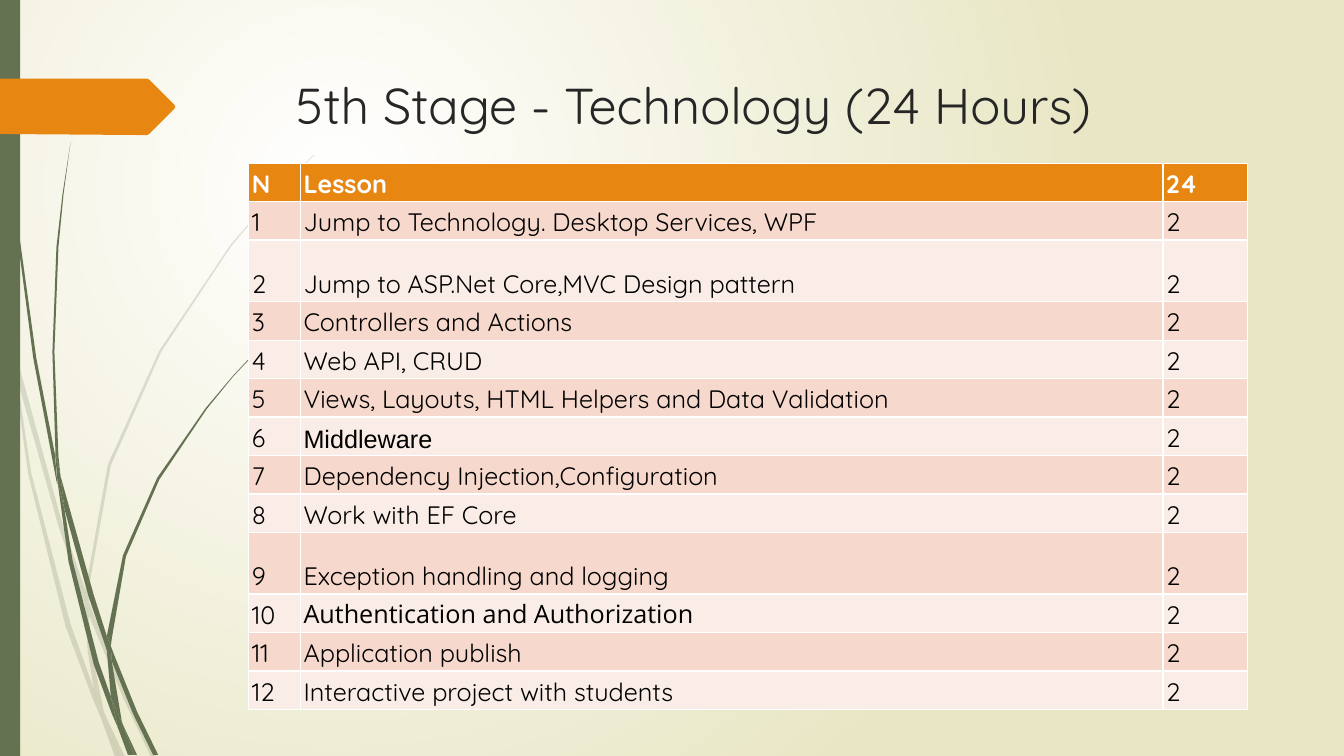
"""Build the slide that lists the lessons of the fifth course stage."""
from typing import NamedTuple

from lxml import etree
from pptx import Presentation
from pptx.dml.color import RGBColor
from pptx.enum.shapes import MSO_SHAPE
from pptx.enum.text import MSO_ANCHOR
from pptx.oxml import parse_xml
from pptx.oxml.ns import nsdecls, qn
from pptx.util import Cm, Pt

RECTANGLE = MSO_SHAPE.RECTANGLE
TOP = MSO_ANCHOR.TOP
BOTTOM = MSO_ANCHOR.BOTTOM

WHITE = RGBColor(0xFF, 0xFF, 0xFF)
BLACK = RGBColor(0x00, 0x00, 0x00)
CHARCOAL = RGBColor(0x26, 0x26, 0x26)
CREAM = RGBColor(0xE8, 0xE6, 0xC4)
GREEN = RGBColor(0x64, 0x72, 0x52)
ORANGE = RGBColor(0xE7, 0x87, 0x12)
ROSE = RGBColor(0xF6, 0xD9, 0xCC)
PALE_ROSE = RGBColor(0xFA, 0xED, 0xE7)

FONT = "Quicksand"
CM_PER_INCH = 2.54
ROW_HEIGHT = 0.97
TALL_ROW_HEIGHT = 1.55
COLUMN_WIDTHS = (1.3, 21.74, 2.13)

Outline = list[tuple[float, float]]


class Grass(NamedTuple):
    opacity: int
    blades: list[Outline]


class Lesson(NamedTuple):
    title: str
    font: str = FONT
    height: float = ROW_HEIGHT


PALE_GRASS = Grass(20, [
    [(0.11, 3.5), (0.09, 3.22), (0, 2.82), (0, 2.99), (0.1, 3.44)],
    [(0.58, 5.22), (0.84, 5.99), (0.85, 5.86), (0.62, 5.2), (0.14, 3.45),
     (0.17, 3.76)],
    [(0.92, 6.07), (0.88, 5.96), (0.88, 6.1), (1.23, 6.94), (1.5, 7.51),
     (1.55, 7.51), (1.27, 6.92)],
    [(1.19, 7.51), (1.24, 7.51), (1.05, 7.11)],
    [(0.93, 6.83), (0.7, 6.19), (0.31, 4.69), (0.17, 3.76), (0.11, 3.5),
     (0.28, 4.7), (0.65, 6.21), (0.92, 6.93), (1.01, 7.14), (0.99, 7.07)],
    [(0.84, 5.99), (0.87, 6.46), (0.93, 6.83), (0.96, 6.92), (1.05, 7.11),
     (1.03, 7.06), (0.91, 6.46), (0.88, 6.1), (0.88, 6.08)],
    [(0.88, 5.84), (1.1, 4.62), (1.6, 3.49), (2.29, 2.45), (2.68, 1.98),
     (2.9, 1.75), (3.12, 1.54), (3.12, 1.53), (2.89, 1.75), (2.68, 1.97),
     (2.28, 2.44), (1.58, 3.48), (1.07, 4.61), (0.85, 5.84), (0.85, 5.86),
     (0.88, 5.96)],
    [(1.01, 7.14), (1.14, 7.51), (1.19, 7.51)],
    [(0.88, 6.08), (0.88, 6.1), (0.88, 5.96), (0.85, 5.86), (0.84, 5.99)],
    [(0.96, 6.92), (0.93, 6.83), (0.99, 7.07), (1.01, 7.14), (1.19, 7.51),
     (1.05, 7.11)],
])
DARK_GRASS = Grass(100, [
    [(0.07, 1.1), (0.17, 2.33), (0.33, 3.55), (0.56, 4.77), (0.57, 4.81),
     (0.55, 4.57), (0.55, 4.53), (0.36, 3.55), (0.19, 2.32), (0.08, 1.09),
     (0.05, 0.48), (0.04, 0), (0.03, 0), (0.04, 0.48)],
    [(0.88, 5.92), (1.06, 6.45), (1.06, 6.33), (1.06, 6.31), (0.93, 5.9),
     (0.6, 4.72), (0.64, 5.05)],
    [(1.13, 6.49), (1.1, 6.41), (1.11, 6.56), (1.32, 7.08), (1.52, 7.49),
     (1.57, 7.49), (1.36, 7.06)],
    [(1.1, 6.91), (0.98, 6.57), (0.72, 5.56), (0.64, 5.05), (0.57, 4.77),
     (0.68, 5.57), (0.93, 6.59), (1.11, 7.08), (1.17, 7.22), (1.16, 7.17)],
    [(0.6, 4.72), (0.58, 4.53), (0.54, 3.49), (0.58, 2.45), (0.63, 1.93),
     (0.7, 1.41), (0.62, 1.93), (0.56, 2.45), (0.52, 3.49), (0.55, 4.49)],
    [(1.33, 7.49), (1.36, 7.49), (1.22, 7.19)],
    [(0.57, 4.77), (0.64, 5.05), (0.6, 4.72), (0.55, 4.49), (0.55, 4.53)],
    [(1.11, 6.33), (1.25, 5.52), (1.58, 4.76), (2.05, 4.06), (2.31, 3.74),
     (2.45, 3.59), (2.61, 3.44), (2.6, 3.44), (2.45, 3.58), (2.31, 3.73),
     (2.04, 4.05), (1.56, 4.74), (1.22, 5.51), (1.06, 6.31), (1.1, 6.41)],
    [(1.17, 7.22), (1.27, 7.49), (1.31, 7.49)],
    [(1.06, 6.45), (1.1, 6.91), (1.16, 7.06), (1.22, 7.19), (1.21, 7.16),
     (1.11, 6.56), (1.09, 6.51)],
    [(1.06, 6.45), (1.09, 6.51), (1.11, 6.56), (1.1, 6.41), (1.06, 6.31),
     (1.06, 6.33)],
    [(1.16, 7.06), (1.1, 6.91), (1.16, 7.17), (1.17, 7.22), (1.3, 7.49),
     (1.33, 7.49), (1.22, 7.19)],
])
TAG = [(0, 0.78), (1.46, 0.78), (1.48, 0.79), (1.73, 1.04), (1.74, 1.06),
       (1.73, 1.08), (1.48, 1.33), (1.46, 1.34), (1.36, 1.34), (0, 1.33)]
LESSONS = [
    Lesson("Jump to Technology. Desktop Services, WPF"),
    Lesson("Jump to ASP.Net Core,MVC Design pattern", height=TALL_ROW_HEIGHT),
    Lesson("Controllers and Actions"),
    Lesson("Web API, CRUD"),
    Lesson("Views, Layouts, HTML Helpers and Data Validation"),
    Lesson("Middleware", "Arial"),
    Lesson("Dependency Injection,Configuration"),
    Lesson("Work with EF Core"),
    Lesson("Exception handling and logging", height=TALL_ROW_HEIGHT),
    Lesson("Authentication and Authorization", "Open Sans"),
    Lesson("Application publish"),
    Lesson("Interactive project with students"),
]


def paint_background(s) -> None:
    fill = s.background.fill
    fill.gradient()
    for stop, color, position in zip(fill.gradient_stops, (WHITE, CREAM), (0, 1)):
        stop.color.rgb = color
        stop.position = position
    grad = s._element.find(".//" + qn("a:gradFill"))
    grad.replace(grad.find(qn("a:lin")), parse_xml(
        f'<a:path {nsdecls("a")} path="circle">'
        '<a:fillToRect l="50000" t="50000" r="100000" b="100000"/></a:path>'))


def paint(sp, color: RGBColor, opacity: int = 100) -> None:
    sp.shadow.inherit = False
    sp.fill.solid()
    sp.fill.fore_color.rgb = color
    sp.line.fill.background()
    if opacity < 100:
        clr = sp._element.spPr.find(".//" + qn("a:srgbClr"))
        etree.SubElement(clr, qn("a:alpha"), val=str(opacity * 1000))


def add_outline(s, outline: Outline, color: RGBColor, opacity: int = 100) -> None:
    start, *others = [(Cm(x * CM_PER_INCH), Cm(y * CM_PER_INCH)) for x, y in outline]
    builder = s.shapes.build_freeform(*start)
    builder.add_line_segments(others, close=True)
    paint(builder.convert_to_shape(), color, opacity)


def add_text(tf, text: str, size: int, color: RGBColor, font: str = FONT,
             bold: bool = False) -> None:
    r = tf.paragraphs[0].add_run()
    r.text = text
    r.font.name, r.font.size, r.font.bold = font, Pt(size), bold
    r.font.color.rgb = color


def add_lessons(s) -> None:
    rows = [("N", Lesson("Lesson"), "24")]
    rows += [(str(n), lesson, "2") for n, lesson in enumerate(LESSONS, 1)]
    heights = [lesson.height for _, lesson, _ in rows]
    table = s.shapes.add_table(len(rows), len(COLUMN_WIDTHS), Cm(6.27), Cm(4.11),
                               Cm(sum(COLUMN_WIDTHS)), Cm(sum(heights))).table
    for column, width in zip(table.columns, COLUMN_WIDTHS):
        column.width = Cm(width)
    for i, (number, lesson, hours) in enumerate(rows):
        table.rows[i].height = Cm(lesson.height)
        header = i == 0
        color = ORANGE if header else ROSE if i % 2 else PALE_ROSE
        texts = ((number, FONT), (lesson.title, lesson.font), (hours, FONT))
        for cell, (text, font) in zip(table.rows[i].cells, texts):
            cell.fill.solid()
            cell.fill.fore_color.rgb = color
            cell.vertical_anchor = BOTTOM
            cell.margin_left = cell.margin_right = Cm(0.08)
            cell.margin_top = cell.margin_bottom = Cm(0.05)
            add_text(cell.text_frame, text, 18, WHITE if header else BLACK, font, header)


def main() -> None:
    prs = Presentation()
    prs.slide_width, prs.slide_height = Cm(33.87), Cm(19.05)
    s = prs.slides.add_slide(prs.slide_layouts[6])
    paint_background(s)
    for grass in (PALE_GRASS, DARK_GRASS):
        for blade in grass.blades:
            add_outline(s, blade, GREEN, grass.opacity)
    paint(s.shapes.add_shape(RECTANGLE, 0, 0, Cm(0.51), prs.slide_height), GREEN)
    add_outline(s, TAG, ORANGE)
    tf = s.shapes.add_textbox(Cm(7.21), Cm(1.75), Cm(24.77), Cm(3.56)).text_frame
    tf.word_wrap = True
    tf.vertical_anchor = TOP
    add_text(tf, "5th Stage - Technology (24 Hours)", 36, CHARCOAL)
    add_lessons(s)
    prs.save("out.pptx")


if __name__ == "__main__":
    main()
